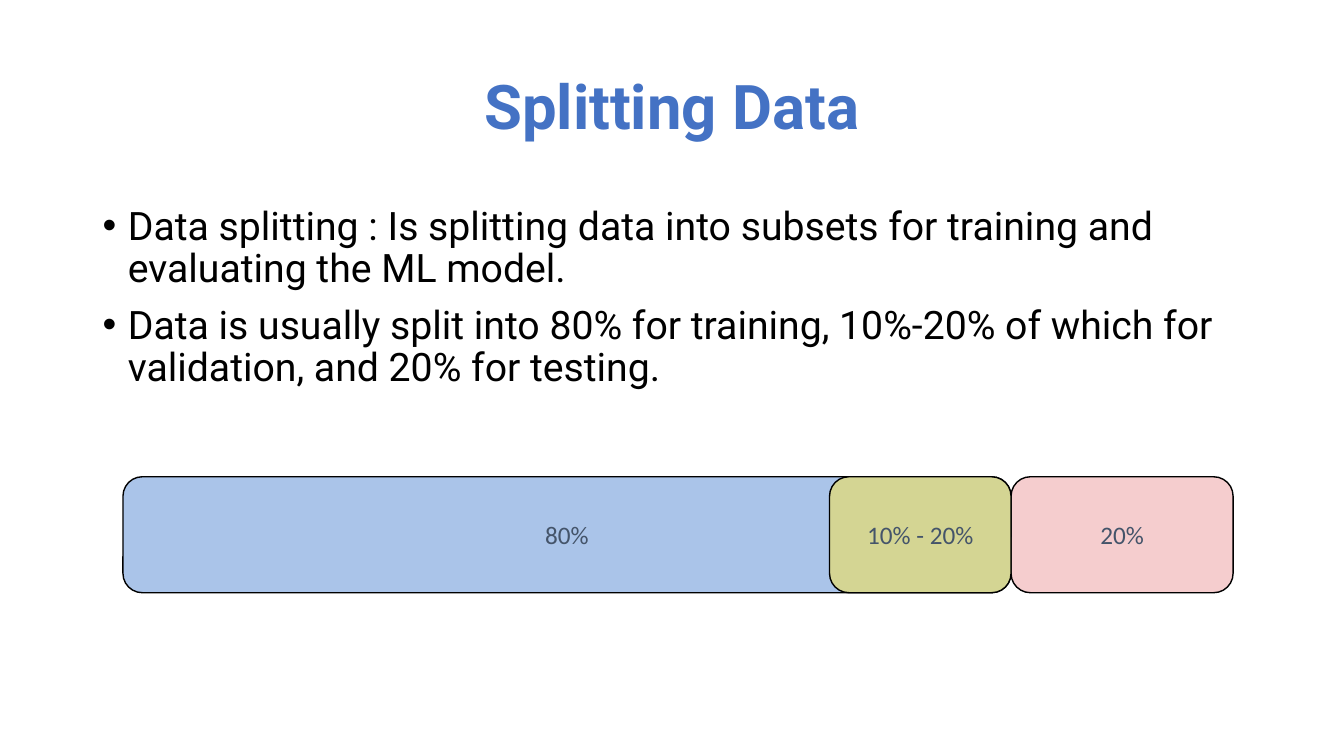
from pptx import Presentation
from pptx import util as u
from pptx.dml.color import RGBColor
from pptx.enum import shapes, text
from pptx.oxml import parse_xml
from pptx.oxml.ns import nsdecls

BLUE = RGBColor(0x44, 0x72, 0xC4)
BLACK = RGBColor(0, 0, 0)
SLATE = RGBColor(0x44, 0x54, 0x6A)
PINK = RGBColor(0xF5, 0xCD, 0xCE)
SKY = RGBColor(0xAA, 0xC4, 0xE9)
OLIVE = RGBColor(0xD4, 0xD5, 0x93)

deck = Presentation()
deck.slide_width = u.Inches(13.33)
deck.slide_height = u.Inches(7.5)
slide = deck.slides.add_slide(deck.slide_layouts[5])


def place(item, left, top, width, height):
    item.left, item.top = u.Inches(left), u.Inches(top)
    item.width, item.height = u.Inches(width), u.Inches(height)


def style(para, face, size, color, bold=False):
    for run in para.runs:
        run.font.name = face
        run.font.size = u.Pt(size)
        run.font.color.rgb = color
        run.font.bold = bold


margin = 0.92
wide = 13.33 - 2 * margin

title = slide.shapes.title
place(title, margin, 0.36, wide, 1.45)
title.text_frame.text = "Splitting Data"
title.text_frame.vertical_anchor = text.MSO_ANCHOR.MIDDLE
head = title.text_frame.paragraphs[0]
head.alignment = text.PP_ALIGN.CENTER
head.line_spacing = 0.9
style(head, "Roboto", 44, BLUE, True)

points = [
    "Data splitting : Is splitting data into subsets for training and "
    "evaluating the ML model. ",
    "Data is usually split into 80% for training, 10%-20% of which for "
    "validation, and 20% for testing.",
]
body = slide.shapes.add_textbox(0, 0, 0, 0)
place(body, margin, 2, wide, 4.76)
body.text_frame.word_wrap = True
body.text_frame.text = "\n".join(points)
for para in body.text_frame.paragraphs:
    para.line_spacing = 0.9
    para.space_before = u.Pt(10)
    style(para, "Roboto", 28, BLACK)
    props = para._p.get_or_add_pPr()
    props.set("marL", str(u.Inches(0.25)))
    props.set("indent", str(u.Inches(-0.25)))
    for mark in ('<a:buFont %s typeface="Arial"/>', '<a:buChar %s char="&#8226;"/>'):
        props.append(parse_xml(mark % nsdecls("a")))

start, total = 1.22, 11.01
split = start + 0.8 * total
valid = 1.8
bars = [
    ("20%", split, 0.2 * total, PINK),
    ("80%", start, 0.8 * total, SKY),
    ("10% - 20%", split - valid, valid, OLIVE),
]
for label, left, width, color in bars:
    bar = slide.shapes.add_shape(shapes.MSO_SHAPE.ROUNDED_RECTANGLE, 0, 0, 0, 0)
    place(bar, left, 4.73, width, 1.15)
    bar.shadow.inherit = False
    bar.fill.solid()
    bar.fill.fore_color.rgb = color
    bar.line.color.rgb = BLACK
    bar.line.width = u.Pt(1)
    bar.text_frame.text = label
    bar.text_frame.vertical_anchor = text.MSO_ANCHOR.MIDDLE
    para = bar.text_frame.paragraphs[0]
    para.alignment = text.PP_ALIGN.CENTER
    style(para, "Calibri", 18, SLATE)

deck.save("out.pptx")
